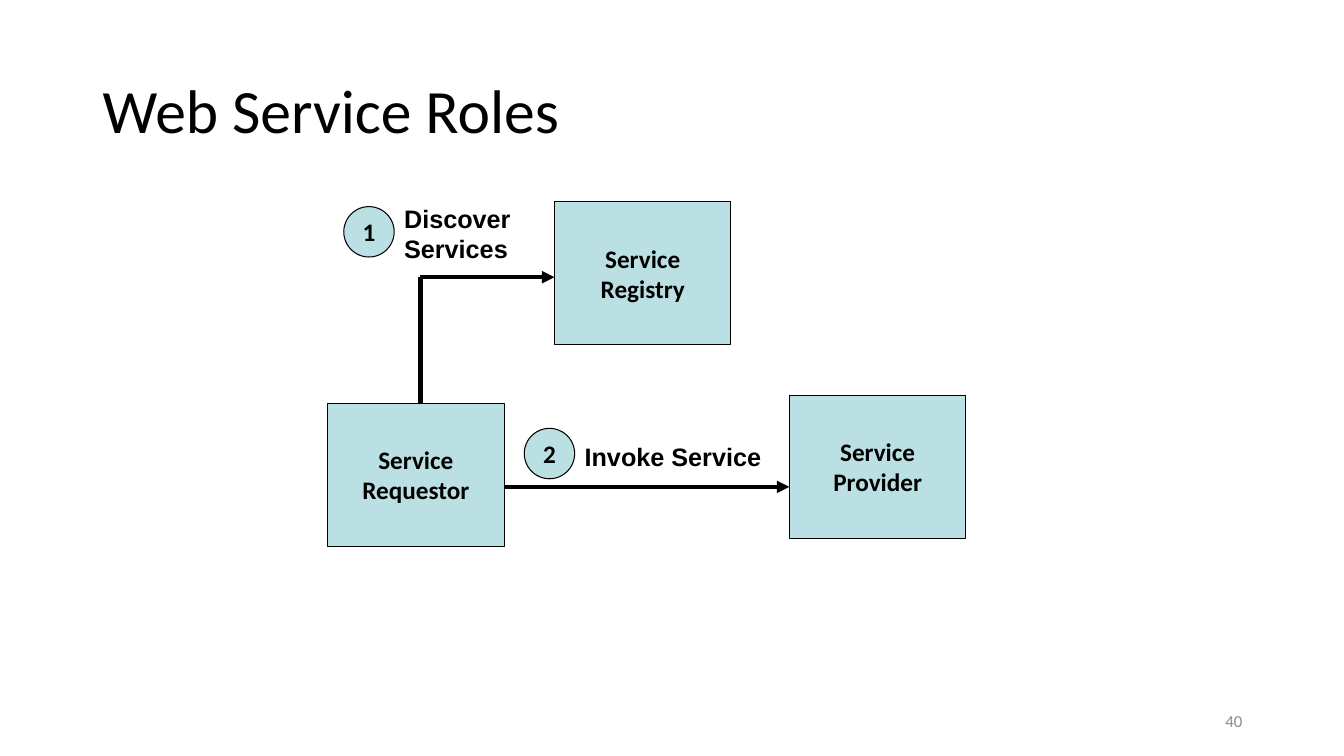
from lxml import etree
from pptx import Presentation
from pptx import util as u
from pptx.dml.color import RGBColor
from pptx.enum import shapes, text
from pptx.oxml.ns import qn

PX = 9144  # one px is a hundredth of an inch
THEME = {
    "ink": RGBColor(0x00, 0x00, 0x00),
    "muted": RGBColor(0x8C, 0x8C, 0x8C),
    "role": RGBColor(0xBB, 0xE0, 0xE3),
    "body": "Calibri",
    "label": "Arial",
    "title_size": 44,
    "text_size": 18,
    "number_size": 12,
}


def write(shape, content, font=THEME["body"], size=THEME["text_size"], color=THEME["ink"],
          bold=True, align=text.PP_ALIGN.LEFT, anchor=text.MSO_ANCHOR.MIDDLE,
          wrap=False, spacing=None):
    """Fill a shape with one paragraph per line of content."""
    frame = shape.text_frame
    frame.text = content
    frame.word_wrap = wrap
    frame.vertical_anchor = anchor
    for paragraph in frame.paragraphs:
        paragraph.alignment = align
        paragraph.line_spacing = spacing
        paragraph.font.name = font
        paragraph.font.size = u.Pt(size)
        paragraph.font.bold = bold
        paragraph.font.color.rgb = color


prs = Presentation()
prs.slide_width, prs.slide_height = 1333 * PX, 750 * PX
slide = prs.slides.add_slide(prs.slide_layouts[6])

page_number = slide.shapes.add_textbox(942 * PX, 695 * PX, 300 * PX, 40 * PX)
write(page_number, "40", size=THEME["number_size"], color=THEME["muted"], bold=False,
      align=text.PP_ALIGN.RIGHT, wrap=True)
title = slide.shapes.add_textbox(92 * PX, 40 * PX, 1150 * PX, 145 * PX)
write(title, "Web Service Roles", size=THEME["title_size"], bold=False, wrap=True, spacing=0.9)

# Roles and step numbers
ROLE, STEP = (175, 142), (50, 50)
RECT, OVAL = shapes.MSO_SHAPE.RECTANGLE, shapes.MSO_SHAPE.OVAL
for kind, left, top, (width, height), name in [
    (RECT, 550, 200, ROLE, "Service\nRegistry"),
    (RECT, 325, 400, ROLE, "Service\nRequestor"),
    (RECT, 783, 392, ROLE, "Service\nProvider"),
    (OVAL, 341, 205, STEP, "1"),
    (OVAL, 520, 425, STEP, "2"),
]:
    node = slide.shapes.add_shape(kind, left * PX, top * PX, width * PX, height * PX)
    node.shadow.inherit = False
    node.fill.solid()
    node.fill.fore_color.rgb = THEME["role"]
    node.line.color.rgb = THEME["ink"]
    node.line.width = u.Pt(0.75)
    write(node, name, align=text.PP_ALIGN.CENTER)

# Step labels
for left, top, width, height, action in [
    (391, 197, 126, 70, "Discover\nServices"),
    (570, 433, 195, 40, "Invoke Service"),
]:
    label = slide.shapes.add_textbox(left * PX, top * PX, width * PX, height * PX)
    write(label, action, font=THEME["label"], anchor=text.MSO_ANCHOR.TOP)

# Calls between the roles
for x1, y1, x2, y2, has_arrow in [
    (417, 400, 417, 275, False),
    (417, 275, 550, 275, True),
    (500, 483, 783, 483, True),
]:
    call = slide.shapes.add_connector(shapes.MSO_CONNECTOR.STRAIGHT,
                                      x1 * PX, y1 * PX, x2 * PX, y2 * PX)
    call.line.color.rgb = THEME["ink"]
    call.line.width = u.Pt(3)
    if has_arrow:
        etree.SubElement(call.line._get_or_add_ln(), qn("a:tailEnd"), type="triangle")
    etree.SubElement(call._element.spPr, qn("a:effectLst"))

prs.save("out.pptx")
